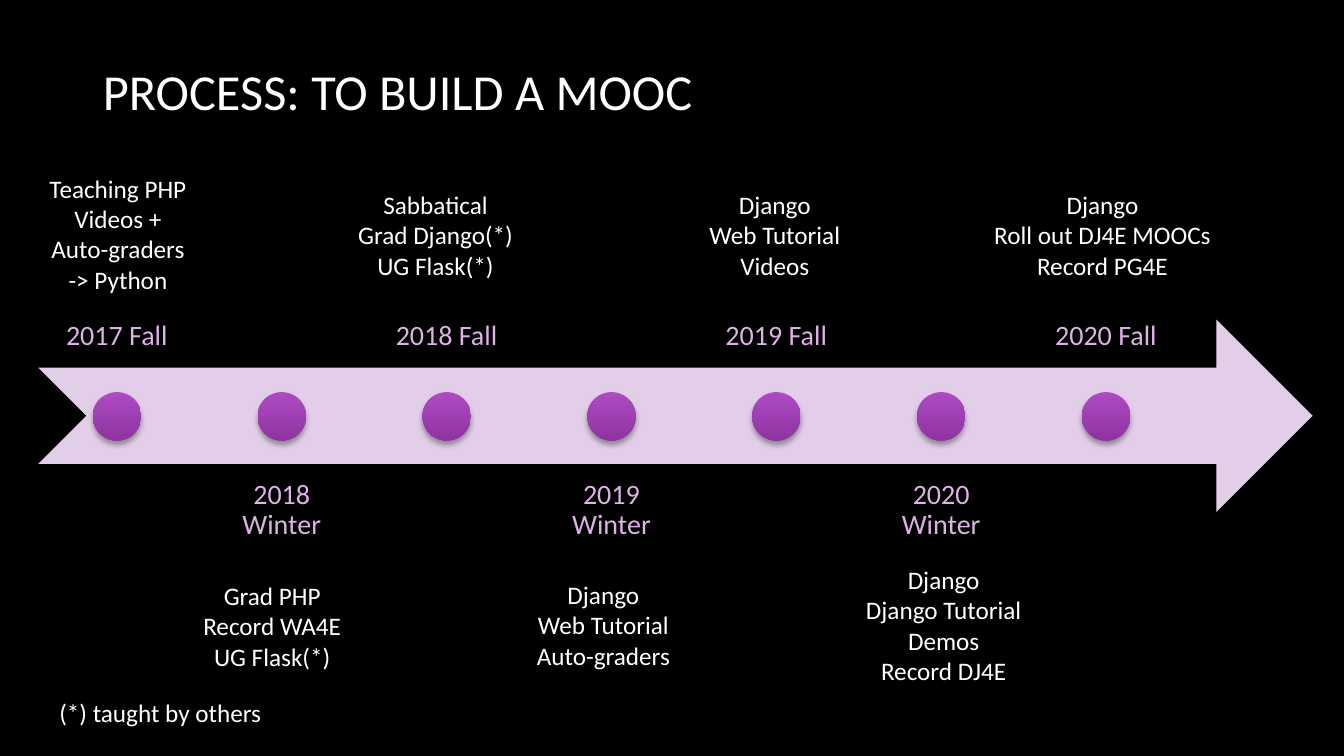
from lxml.etree import SubElement
from pptx import Presentation
from pptx.dml.color import RGBColor
from pptx.enum.shapes import MSO_SHAPE as Shape
from pptx.enum.text import MSO_ANCHOR as Anchor, PP_ALIGN as Align
from pptx.oxml.ns import qn
from pptx.util import Pt

PX = 9144  # EMU in one px, 100 px to the inch
FONT = "Calibri"
COLORS = {
    "background": "000000",
    "text": "FFFFFF",
    "date": "DEB2E6",
    "arrow": "E3CEE9",
    "dot_top": "AE4AC2",
    "dot_bottom": "8F34A1",
    "shadow": "000000",
}
STEP = 163.5
DATES = ["2017 Fall", "2018 Winter", "2018 Fall", "2019 Winter",
         "2019 Fall", "2020 Winter", "2020 Fall"]
NOTES = [
    ((38, 167, 158, 131), "Teaching PHP\nVideos +\nAuto-graders\n-> Python"),
    ((191, 571, 158, 101), "Grad PHP\nRecord WA4E\nUG Flask(*)"),
    ((344, 183, 176, 101), "Sabbatical\nGrad Django(*)\nUG Flask(*)"),
    ((520, 570, 157, 101), "Django\nWeb Tutorial\nAuto-graders"),
    ((690, 183, 157, 101), "Django\nWeb Tutorial\nVideos"),
    ((848, 555, 176, 131), "Django\nDjango Tutorial\nDemos\nRecord DJ4E"),
    ((975, 183, 237, 101), "Django\nRoll out DJ4E MOOCs\nRecord PG4E"),
]


def emu(*lengths):
    return [round(length * PX) for length in lengths]


def color(name):
    return RGBColor.from_string(COLORS[name])


def write(frame, text, size, color_name, align):
    frame.text = text
    for para in frame.paragraphs:
        para.alignment = align
        for span in para.runs:
            span.font.name = FONT
            span.font.size = Pt(size)
            span.font.color.rgb = color(color_name)


def add_title(page, text):
    title = page.shapes.title
    title.left, title.top, title.width, title.height = emu(92, 40, 1150, 99)
    title.text_frame.vertical_anchor = Anchor.MIDDLE
    write(title.text_frame, text, 36, "text", Align.LEFT)


def add_shadowed_shape(page, kind, area):
    shape = page.shapes.add_shape(kind, *emu(*area))
    shape.line.fill.background()
    shape.shadow.inherit = False
    effects = shape._element.spPr.find(qn("a:effectLst"))
    shadow = SubElement(effects, qn("a:outerShdw"), blurRad=str(Pt(4)),
                        dist=str(Pt(3)), dir="5400000", rotWithShape="0")
    shade = SubElement(shadow, qn("a:srgbClr"), val=COLORS["shadow"])
    SubElement(shade, qn("a:alpha"), val="35000")
    return shape


def add_arrow(page):
    arrow = add_shadowed_shape(page, Shape.NOTCHED_RIGHT_ARROW, (38, 317, 1264, 191))
    arrow.fill.solid()
    arrow.fill.fore_color.rgb = color("arrow")


def add_dot(page, left):
    dot = add_shadowed_shape(page, Shape.OVAL, (left, 389, 48, 48))
    dot.fill.gradient()
    dot.fill.gradient_angle = 270
    for stop, name, position in zip(dot.fill.gradient_stops,
                                    ("dot_top", "dot_bottom"), (0, 1)):
        stop.color.rgb = color(name)
        stop.position = position


def add_date(page, left, text, above):
    box = page.shapes.add_textbox(*emu(left, 173 if above else 460, 156, 191))
    frame = box.text_frame
    frame.word_wrap = True
    frame.vertical_anchor = Anchor.BOTTOM if above else Anchor.TOP
    inset, = emu(16)
    frame.margin_left = frame.margin_right = inset
    frame.margin_top = frame.margin_bottom = inset
    write(frame, text, 20, "date", Align.CENTER)
    frame.paragraphs[0].line_spacing = 0.9


def add_note(page, area, text, align=Align.CENTER):
    frame = page.shapes.add_textbox(*emu(*area)).text_frame
    frame.word_wrap = False
    write(frame, text, 18, "text", align)


def main():
    deck = Presentation()
    deck.slide_width, deck.slide_height = emu(1333, 750)
    page = deck.slides.add_slide(deck.slide_layouts[5])
    page.background.fill.solid()
    page.background.fill.fore_color.rgb = color("background")

    add_title(page, "PROCESS: TO BUILD A MOOC")
    add_arrow(page)
    for index, date in enumerate(DATES):
        add_date(page, 38 + index * STEP, date, above=index % 2 == 0)
        add_dot(page, 92 + index * STEP)
    for area, text in NOTES:
        add_note(page, area, text)
    add_note(page, (49, 687, 223, 40), "(*) taught by others", Align.LEFT)
    deck.save("out.pptx")


if __name__ == "__main__":
    main()
